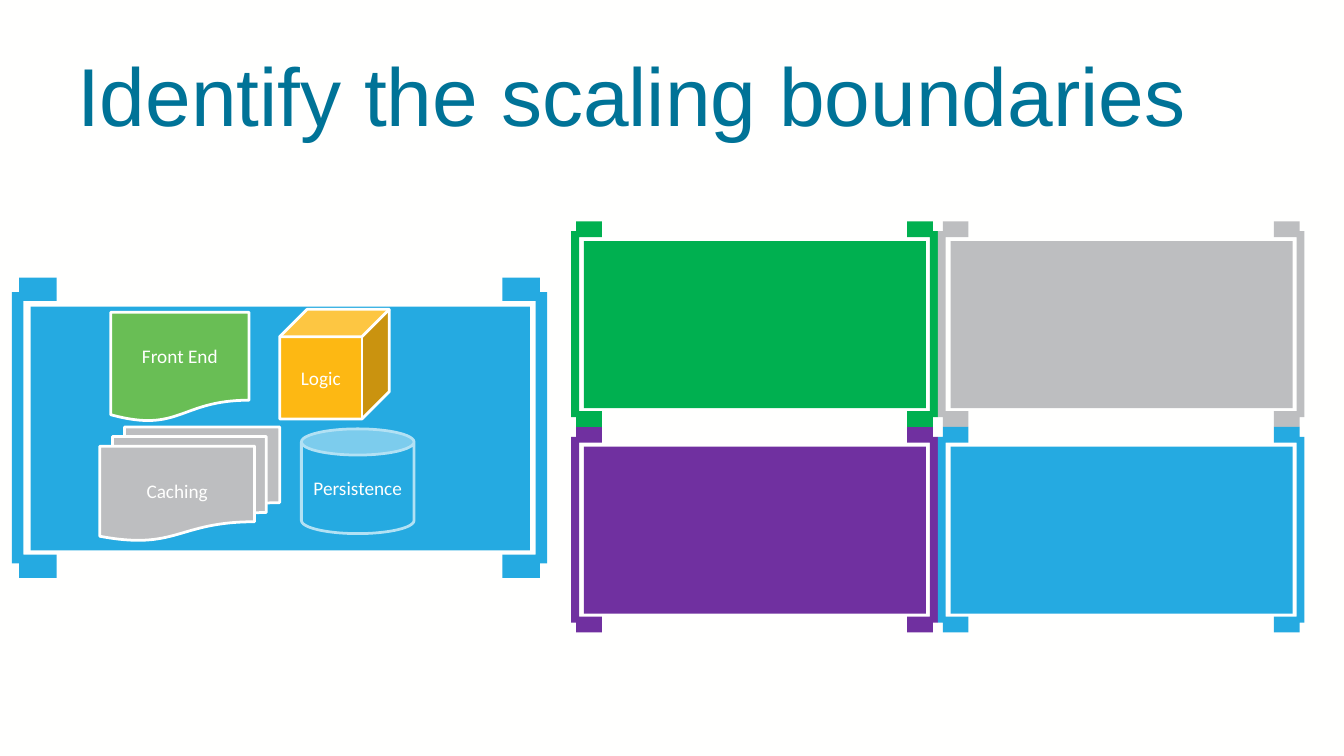
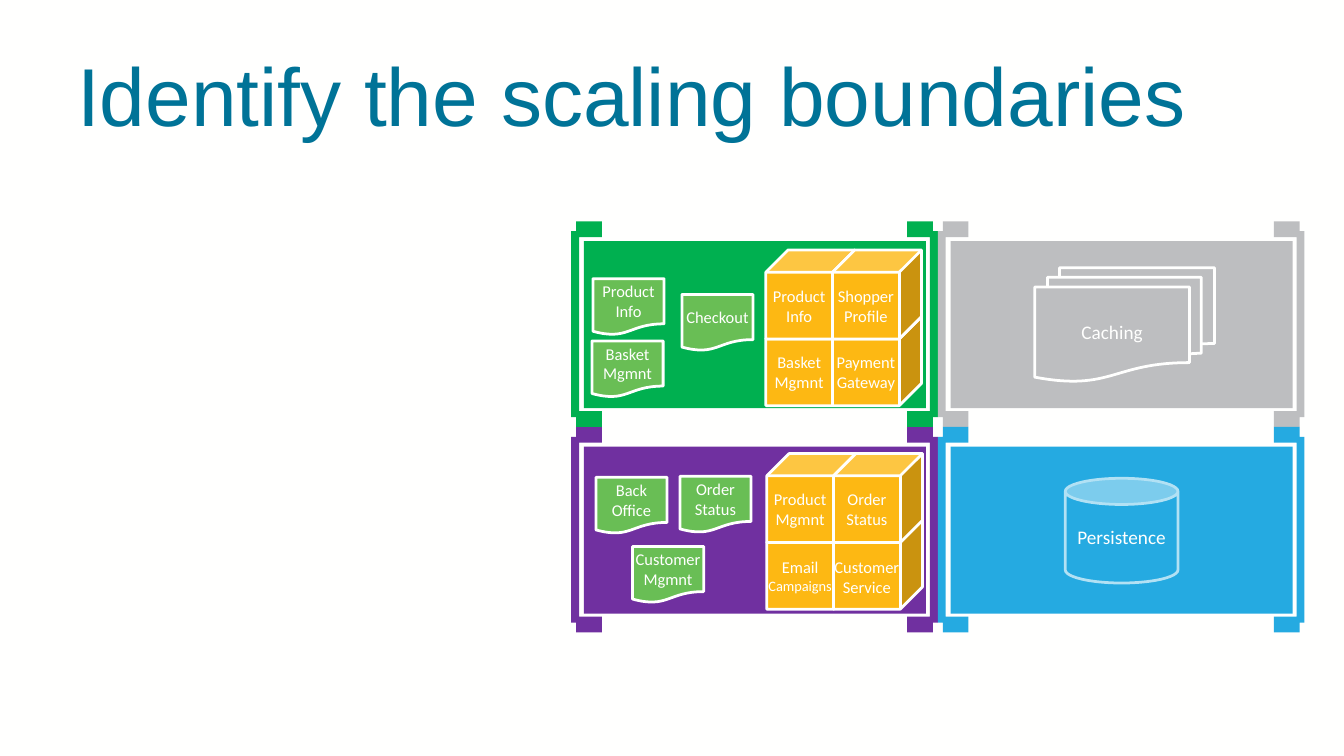
from pptx import Presentation
from pptx.dml.color import RGBColor
from pptx.enum.shapes import MSO_SHAPE as Shape
from pptx.enum.text import MSO_ANCHOR as Anchor, PP_ALIGN as Align
from pptx.util import Inches, Pt

TITLE = "Identify the scaling boundaries"
WHITE, TEAL = "FFFFFE", "007397"
BLUE, PALE_BLUE = "25AAE1", "B2E1F4"
GREEN, PURPLE, GRAY = "00B050", "7030A0", "BDBEC0"
LEAF, AMBER = "69BE55", "FDB813"

CONTAINER_WIDTH, CONTAINER_HEIGHT = 3.71, 2.08
LEFT, TOP = 5.78, 2.24
RIGHT, MIDDLE = LEFT + CONTAINER_WIDTH, TOP + CONTAINER_HEIGHT
CONTAINERS = [
    (LEFT, MIDDLE, PURPLE),
    (LEFT, TOP, GREEN),
    (RIGHT, TOP, GRAY),
    (RIGHT, MIDDLE, BLUE),
]
BRACKET_TOP = [(0.05, 0), (0.31, 0), (0.31, 0.16), (0.08, 0.16)]
BRACKET_SIDE = [(0.05, 0.1), (0, 0.1)]
CUBE_SIZE = 0.9


def color(value):
    return RGBColor.from_string(value)


def write(para, text, font="Calibri", size=14, fill=WHITE, align=Align.CENTER):
    para.alignment = align
    for index, line in enumerate(text.split("\n")):
        if index:
            para.add_line_break()
        span = para.add_run()
        span.text = line
        span.font.name = font
        span.font.size = Pt(size)
        span.font.color.rgb = color(fill)


class Slides:
    def __init__(self):
        self.deck = Presentation()
        self.deck.slide_width = Inches(13.6)
        self.deck.slide_height = Inches(7.65)
        background = self.deck.slide_master.background.fill
        background.solid()
        background.fore_color.rgb = color(WHITE)
        self.page = None

    def add_page(self, title):
        self.page = self.deck.slides.add_slide(self.deck.slide_layouts[5])
        box = self.page.shapes.title
        box.left, box.top = Inches(0.68), Inches(0.31)
        box.width, box.height = Inches(12.62), Inches(1.27)
        box.text_frame.vertical_anchor = Anchor.MIDDLE
        write(box.text_frame.paragraphs[0], title, font="Arial", size=59.8,
              fill=TEAL, align=Align.LEFT)

    def paint(self, shape, fill, line=None):
        shape.shadow.inherit = False
        shape.fill.solid()
        shape.fill.fore_color.rgb = color(fill)
        if line:
            shape.line.color.rgb = color(line)
            shape.line.width = Pt(2)
        else:
            shape.line.fill.background()

    def add_box(self, kind, left, top, width, height, fill, line=None):
        box = self.page.shapes.add_shape(
            kind, Inches(left), Inches(top), Inches(width), Inches(height))
        self.paint(box, fill, line)
        return box

    def add_label(self, box, spans, margin=0.1):
        frame = box.text_frame
        frame.word_wrap = True
        frame.vertical_anchor = Anchor.MIDDLE
        frame.margin_left = frame.margin_right = Inches(margin)
        for text, size in spans:
            write(frame.paragraphs[0], text, size=size)

    def add_bracket(self, points, fill):
        corners = [(Inches(x), Inches(y)) for x, y in points]
        builder = self.page.shapes.build_freeform(*corners[0])
        builder.add_line_segments(corners[1:], close=True)
        self.paint(builder.convert_to_shape(), fill)

    def add_container(self, left, top, fill, scale=1):
        self.add_box(Shape.RECTANGLE, left + 0.13 * scale, top + 0.2 * scale,
                     3.46 * scale, 1.69 * scale, fill)
        upper = BRACKET_SIDE[::-1] + BRACKET_TOP
        lower = [(x, CONTAINER_HEIGHT - y) for x, y in upper[::-1]]
        outline = upper + lower
        mirrored = [(CONTAINER_WIDTH - x, y) for x, y in outline]
        for points in (outline, mirrored):
            self.add_bracket([(left + x * scale, top + y * scale) for x, y in points], fill)

    def add_document(self, left, top, text):
        box = self.add_box(Shape.FLOWCHART_DOCUMENT, left, top, 0.72, 0.57, LEAF, WHITE)
        self.add_label(box, [(text, 12)], margin=0)

    def add_cubes(self, left, top, labels):
        pitch = CUBE_SIZE * 0.75
        for row in (1, 0):
            for column, spans in enumerate(labels[row]):
                box = self.add_box(Shape.CUBE, left + column * pitch, top + row * pitch,
                                   CUBE_SIZE, CUBE_SIZE, AMBER, WHITE)
                self.add_label(box, spans, margin=0)

    def add_caching(self, left, top):
        box = self.add_box(Shape.FLOWCHART_MULTIDOCUMENT, left, top, 1.82, 1.15, GRAY, WHITE)
        self.add_label(box, [("Caching", 14)])

    def add_persistence(self, left, top):
        box = self.add_box(Shape.CAN, left, top, 1.14, 1.06, BLUE, PALE_BLUE)
        self.add_label(box, [("Persistence", 14)])


def add_single_container(slides):
    slides.add_page(TITLE)
    for left, top, fill in CONTAINERS:
        slides.add_container(left, top, fill)
    slides.add_container(0.12, 2.81, BLUE, scale=1.46)
    front_end = slides.add_box(Shape.FLOWCHART_DOCUMENT, 1.12, 3.16, 1.4, 1.11, LEAF, WHITE)
    slides.add_label(front_end, [("Front End", 14)])
    logic = slides.add_box(Shape.CUBE, 2.83, 3.13, 1.11, 1.11, AMBER, WHITE)
    slides.add_label(logic, [("Logic", 14)])
    slides.add_caching(1.01, 4.32)
    slides.add_persistence(3.05, 4.34)


def add_split_containers(slides):
    slides.add_page(TITLE)
    for left, top, fill in CONTAINERS:
        slides.add_container(left, top, fill)
    slides.add_caching(10.47, 2.71)
    slides.add_persistence(10.78, 4.84)
    slides.add_cubes(7.76, 4.59, [
        [[("Product Mgmnt", 12)], [("Order Status", 12)]],
        [[("Email ", 12), ("Campaigns", 10.5)],
         [("Customer", 12), (" ", 14), ("Service", 12)]],
    ])
    slides.add_cubes(7.75, 2.53, [
        [[("Product Info", 12)], [("Shopper Profile", 12)]],
        [[("Basket Mgmnt", 12)], [("Payment Gateway", 12)]],
    ])
    for left, top, text in [
        (6.88, 4.82, "Order Status"),
        (6.03, 4.83, "Back\nOffice"),
        (6.4, 5.53, "Customer\nMgmnt"),
        (5.99, 3.45, "Basket Mgmnt"),
        (6.9, 2.98, "Checkout"),
        (6, 2.82, "Product Info"),
    ]:
        slides.add_document(left, top, text)


def main():
    slides = Slides()
    add_single_container(slides)
    add_split_containers(slides)
    slides.deck.save("out.pptx")


if __name__ == "__main__":
    main()
